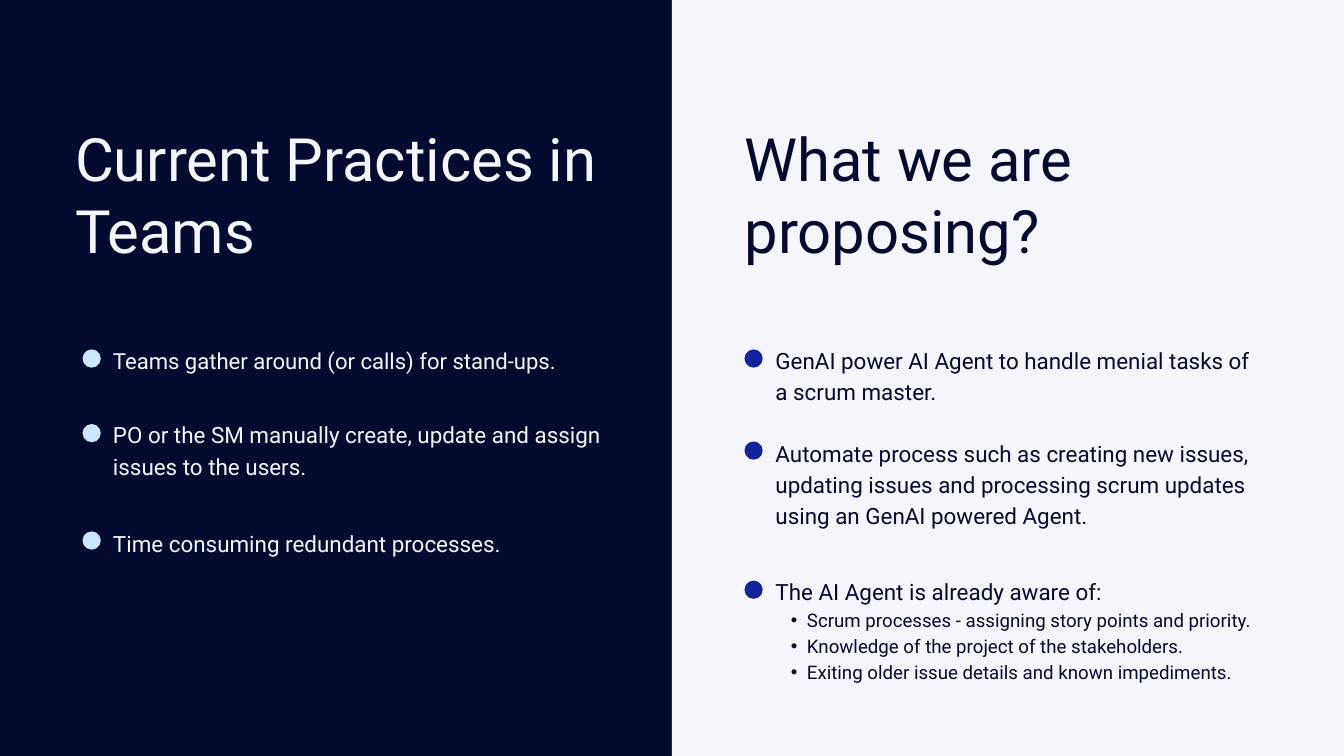
from lxml import etree
from pptx import Presentation
from pptx import util as u
from pptx.dml.color import RGBColor
from pptx.enum import shapes, text
from pptx.oxml import ns

NAVY = RGBColor(0x05, 0x0A, 0x30)
PALE = RGBColor(0xF4, 0xF6, 0xFC)
SKY = RGBColor(0xCA, 0xE8, 0xFF)
BLUE = RGBColor(0x12, 0x22, 0x9D)
FONT = "Roboto"

CURRENT = [
    ("Teams gather around (or calls) for stand-ups.", 23.7, 0),
    ("PO or the SM manually create, update and assign issues to the users.", 24, 46.7),
    ("Time consuming redundant processes.", 24, 48.7),
]
PROPOSED = [
    ("GenAI power AI Agent to handle menial tasks of a scrum master.", 24, 0),
    ("Automate process such as creating new issues, updating issues and "
     "processing scrum updates using an GenAI powered Agent.", 24, 32.2),
    ("The AI Agent is already aware of:", 24, 47.5),
]
AWARE_OF = [
    "Scrum processes - assigning story points and priority.",
    "Knowledge of the project of the stakeholders.",
    "Exiting older issue details and known impediments.",
]


def add_filled(page, kind, left, top, width, height, color):
    shape = page.shapes.add_shape(kind, u.Cm(left), u.Cm(top), u.Cm(width), u.Cm(height))
    shape.shadow.inherit = False
    shape.fill.solid()
    shape.fill.fore_color.rgb = color
    shape.line.fill.background()
    return shape


def place(box, left, top, width, height):
    box.left, box.top = u.Cm(left), u.Cm(top)
    box.width, box.height = u.Cm(width), u.Cm(height)
    frame = box.text_frame
    frame.margin_left = frame.margin_right = frame.margin_top = frame.margin_bottom = 0
    frame.word_wrap = True
    frame.auto_size = text.MSO_AUTO_SIZE.NONE
    frame.vertical_anchor = text.MSO_ANCHOR.TOP
    return frame


def write(para, words, size, color, leading=1.4, before=0, bullet=False):
    para.alignment = text.PP_ALIGN.LEFT
    para.line_spacing = u.Pt(size * leading)
    para.space_before = u.Pt(before)
    para.space_after = u.Pt(0)
    if bullet:
        para.level = 1
    props = para._p.get_or_add_pPr()
    props.set("marL", str(u.Cm(1.19) if bullet else 0))
    props.set("indent", str(u.Cm(-0.61) if bullet else 0))
    if bullet:
        etree.SubElement(props, ns.qn("a:buChar"), char="•")
    else:
        etree.SubElement(props, ns.qn("a:buNone"))
    span = para.add_run()
    span.text = words
    span.font.name = FONT
    span.font.size = u.Pt(size)
    span.font.bold = False
    span.font.color.rgb = color


def add_heading(box, left, words, color):
    frame = place(box, left, 4.6, 19.89, 5.38)
    write(frame.paragraphs[0], words, 64, color, leading=1.2)


def add_list(box, left, height, items, color, details=()):
    frame = place(box, left, 12.95, 18.47, height)
    for index, (words, size, before) in enumerate(items):
        para = frame.add_paragraph() if index else frame.paragraphs[0]
        write(para, words, size, color, before=before)
    for words in details:
        write(frame.add_paragraph(), words, 20, color, bullet=True)


def add_markers(page, left, tops, color):
    for top in tops:
        add_filled(page, shapes.MSO_SHAPE.OVAL, left, top, 0.69, 0.69, color)


def main():
    deck = Presentation()
    deck.slide_width, deck.slide_height = u.Cm(50.8), u.Cm(28.58)
    page = deck.slides.add_slide(deck.slide_layouts.get_by_name("Comparison"))
    page.background.fill.solid()
    page.background.fill.fore_color.rgb = NAVY

    panel = add_filled(page, shapes.MSO_SHAPE.RECTANGLE, 25.4, 0, 25.4, 28.58, PALE)
    page.shapes._spTree.insert(2, panel._element)

    holders = {box.placeholder_format.idx: box for box in page.placeholders}
    unused = holders[1]._element
    unused.getparent().remove(unused)

    add_heading(holders[0], 2.84, "Current Practices in Teams", PALE)
    add_list(holders[2], 4.27, 8.1, CURRENT, PALE)
    add_markers(page, 3.12, (13.21, 16.03, 20.09), SKY)

    add_heading(holders[3], 28.14, "What we are proposing?", NAVY)
    add_list(holders[4], 29.31, 13.77, PROPOSED, NAVY, AWARE_OF)
    add_markers(page, 28.14, (13.21, 16.69, 21.95), BLUE)

    deck.save("out.pptx")


main()
